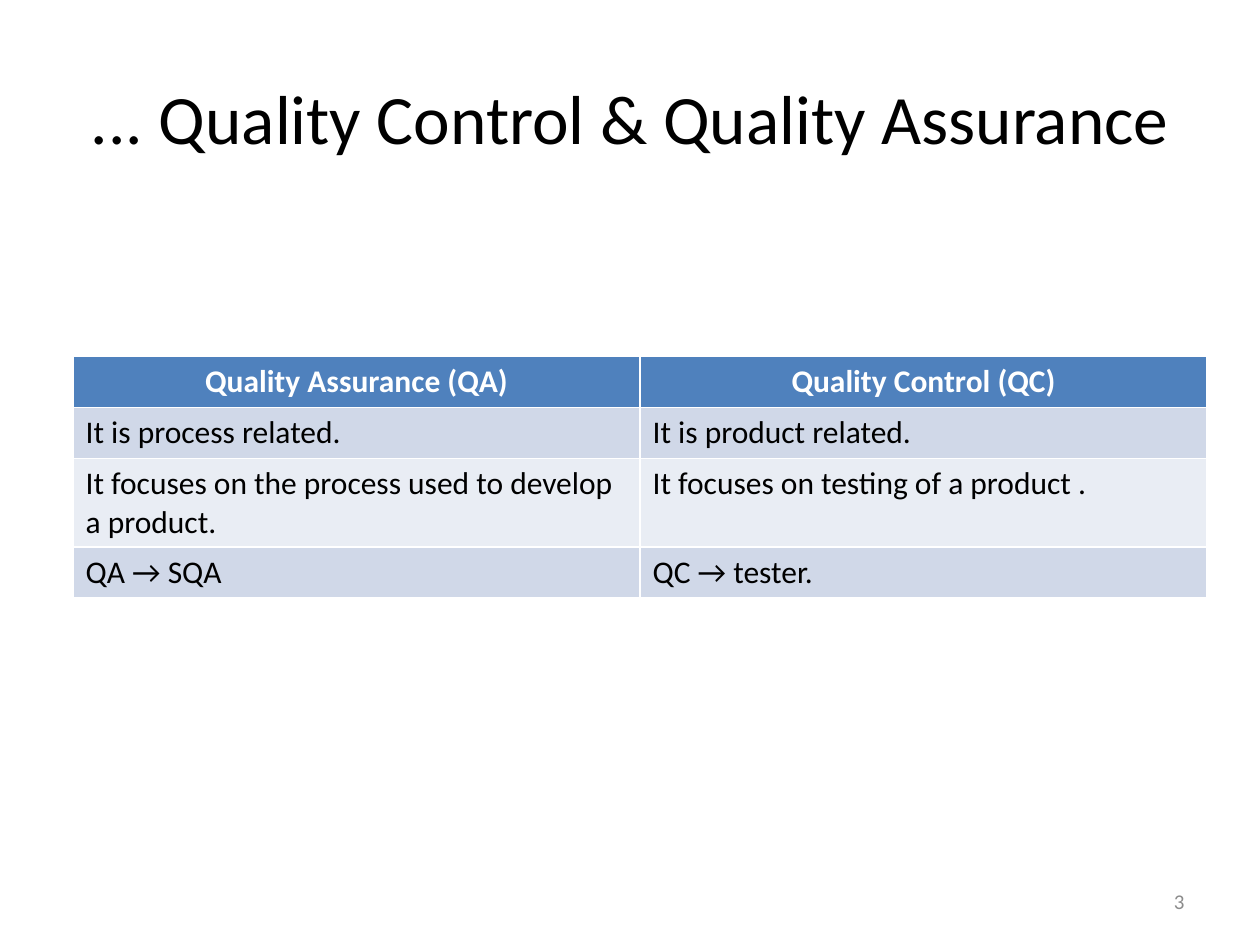
from pptx import Presentation
from pptx.dml.color import RGBColor
from pptx.enum.text import MSO_ANCHOR, PP_ALIGN
from pptx.util import Inches, Pt

LEFT, CENTER, RIGHT = PP_ALIGN.LEFT, PP_ALIGN.CENTER, PP_ALIGN.RIGHT
MIDDLE = MSO_ANCHOR.MIDDLE
HEADER, BANDS = "4F81BD", ("E9EDF4", "D0D8E8")


def rgb(color):
    return RGBColor.from_string(color)


def write(tf, text, size, color, align, bold=False):
    p = tf.paragraphs[0]
    p.alignment = align
    r = p.add_run()
    r.text = text
    r.font.name = "Calibri"
    r.font.size = Pt(size)
    r.font.bold = bold
    r.font.color.rgb = rgb(color)


prs = Presentation()
prs.slide_width, prs.slide_height = Inches(10), Inches(7.5)
s = prs.slides.add_slide(prs.slide_layouts[6])

# Title and slide number
for box, text, size, color, align in (
    ((0.5, 0.3, 9, 1.25), "... Quality Control & Quality Assurance", 39.6, "000000", CENTER),
    ((7.17, 6.95, 2.33, 0.4), "3", 12, "8C8C8C", RIGHT),
):
    tf = s.shapes.add_textbox(*map(Inches, box)).text_frame
    tf.word_wrap = True
    tf.vertical_anchor = MIDDLE
    write(tf, text, size, color, align)

# Comparison table; the default table style draws the white borders
rows = (
    ("Quality Assurance (QA)", "Quality Control (QC)"),
    ("It is process related.", "It is product related."),
    ("It focuses on the process used to develop a product.",
     "It focuses on testing of a product ."),
    ("QA → SQA", "QC → tester."),
)
row_height = 0.405
table = s.shapes.add_table(len(rows), 2, Inches(0.58), Inches(2.83),
                           Inches(9), Inches(row_height * len(rows))).table
for i, row in enumerate(rows):
    head = i == 0
    for j, text in enumerate(row):
        cell = table.cell(i, j)
        cell.fill.solid()
        cell.fill.fore_color.rgb = rgb(HEADER if head else BANDS[i % 2])
        write(cell.text_frame, text, 18, "FFFFFF" if head else "000000",
              CENTER if head else LEFT, head)

prs.save("out.pptx")
